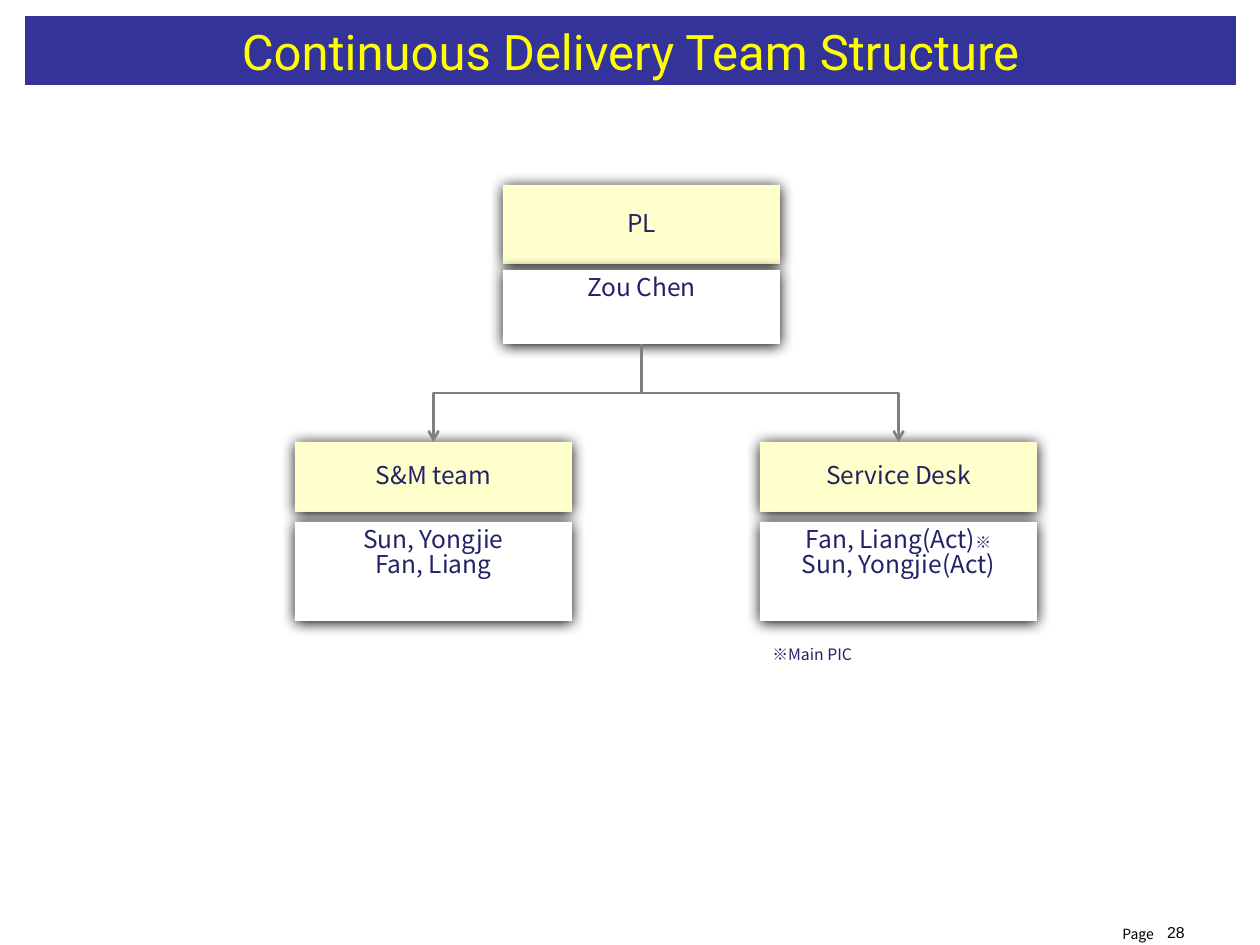
from dataclasses import dataclass

from lxml import etree
from pptx import Presentation
from pptx import util as u
from pptx.dml.color import RGBColor
from pptx.enum import shapes, text
from pptx.oxml import ns


@dataclass(frozen=True)
class Theme:
    """Colours, fonts and type sizes of the slide."""
    bar: str = "333399"
    title: str = "FFFF00"
    head: str = "FFFFCC"
    white: str = "FFFFFF"
    ink: str = "222267"
    black: str = "000000"
    line: str = "808080"
    sans: str = "Noto Sans CJK JP"
    show: str = "Roboto"
    page: str = "Arial"
    big: int = 28
    body: int = 14
    note: int = 9
    tiny: int = 8
    lead: float = 0.85


T = Theme()
MID, LEFT, RIGHT = text.PP_ALIGN.CENTER, text.PP_ALIGN.LEFT, text.PP_ALIGN.RIGHT
WIDE = 277


def px(n):
    """Turn pixels into EMU."""
    return u.Emu(round(n * 914400 / 126))


def paint(shape, color):
    """Fill a shape with one colour."""
    shape.fill.solid()
    shape.fill.fore_color.rgb = RGBColor.from_string(color)


def style(para, size, color, face, align, lead=T.lead):
    """Format one paragraph."""
    para.alignment = align
    para.line_spacing = lead
    para.font.size = u.Pt(size)
    para.font.name = face
    para.font.color.rgb = RGBColor.from_string(color)


def add(parent, tag, **attrs):
    """Append a drawing element to an XML parent."""
    return etree.SubElement(parent, ns.qn(tag), attrs)


def shade(shape):
    """Give a shape a soft black shadow."""
    shape.shadow.inherit = False
    list_ = shape._element.spPr.find(ns.qn("a:effectLst"))
    outer = add(list_, "a:outerShdw", blurRad=str(u.Pt(8.5)),
                dist=str(u.Pt(1)), dir="5400000", rotWithShape="0")
    add(outer, "a:srgbClr", val=T.black)


def banner(slide, words):
    """Place the title on its coloured bar."""
    bar = slide.shapes.title
    bar.left, bar.top, bar.width, bar.height = map(px, (25, 16, 1211, 69))
    paint(bar, T.bar)
    frame = bar.text_frame
    frame.text = words
    frame.vertical_anchor = text.MSO_ANCHOR.MIDDLE
    style(frame.paragraphs[0], T.big, T.title, T.show, MID, 1.0)


def box(slide, x, y, high, color, lines, anchor):
    """Draw one shadowed box with centred lines."""
    shape = slide.shapes.add_shape(
        shapes.MSO_SHAPE.RECTANGLE, px(x), px(y), px(WIDE), px(high))
    paint(shape, color)
    shape.line.fill.background()
    shade(shape)
    frame = shape.text_frame
    frame.text = "\n".join(lines)
    frame.vertical_anchor = anchor
    for para in frame.paragraphs:
        style(para, T.body, T.ink, T.sans, MID)
    return shape


def card(slide, x, y, high, gap, deep, role, names):
    """Draw a role box with its box of names below."""
    head = box(slide, x, y, high, T.head, [role], text.MSO_ANCHOR.MIDDLE)
    body = box(slide, x, y + high + gap, deep, T.white, names,
               text.MSO_ANCHOR.TOP)
    return head, body


def elbow(slide, start, end):
    """Join the bottom of one box to the top of another."""
    link = slide.shapes.add_connector(
        shapes.MSO_CONNECTOR.ELBOW, 0, 0, 0, 0)
    link.begin_connect(start, 2)
    link.end_connect(end, 0)
    x1, y1 = link.begin_x, link.begin_y
    x2, y2 = link.end_x, link.end_y
    wide, high = y2 - y1, abs(x2 - x1)
    link.left = (x1 + x2 - wide) // 2
    link.top = (y1 + y2 - high) // 2
    link.width, link.height = wide, high
    turn = link._element.spPr.find(ns.qn("a:xfrm"))
    turn.set("rot", "16200000" if x2 > x1 else "5400000")
    turn.set("flipH", "1" if x2 > x1 else "0")
    turn.set("flipV", "0")
    link.line.width = u.Pt(1.5)
    link.line.color.rgb = RGBColor.from_string(T.line)
    add(link.line._get_or_add_ln(), "a:tailEnd", type="arrow")
    add(link._element.spPr, "a:effectLst")


def label(slide, rect, words, size, color, face, align=LEFT, wrap=False):
    """Place a small text box."""
    frame = slide.shapes.add_textbox(*map(px, rect)).text_frame
    frame.word_wrap = wrap
    frame.text = words
    style(frame.paragraphs[0], size, color, face, align)


def main():
    """Build and save the slide."""
    deck = Presentation()
    deck.slide_width, deck.slide_height = px(1260), px(945)
    slide = deck.slides.add_slide(deck.slide_layouts[5])
    label(slide, (1126, 919, 71, 26), "28", T.note, T.black, T.page,
          RIGHT, True)
    label(slide, (1110, 922, 68, 30), "Page", T.tiny, T.black, T.sans)
    banner(slide, "Continuous Delivery Team Structure")
    lead = card(slide, 503, 185, 79, 6, 74, "PL", ["Zou Chen"])[1]
    teams = [
        (295, "S&M team", ["Sun, Yongjie", "Fan, Liang"]),
        (760, "Service Desk", ["Fan, Liang(Act)", "Sun, Yongjie(Act)"]),
    ]
    for x, role, names in teams:
        head, body = card(slide, x, 442, 70, 10, 99, role, names)
        elbow(slide, lead, head)
    mark = body.text_frame.paragraphs[0].add_run()
    mark.text = "※"
    mark.font.size = u.Pt(T.note)
    label(slide, (760, 641, 110, 32), "※Main PIC", T.note, T.ink, T.sans)
    deck.save("out.pptx")


if __name__ == "__main__":
    main()
